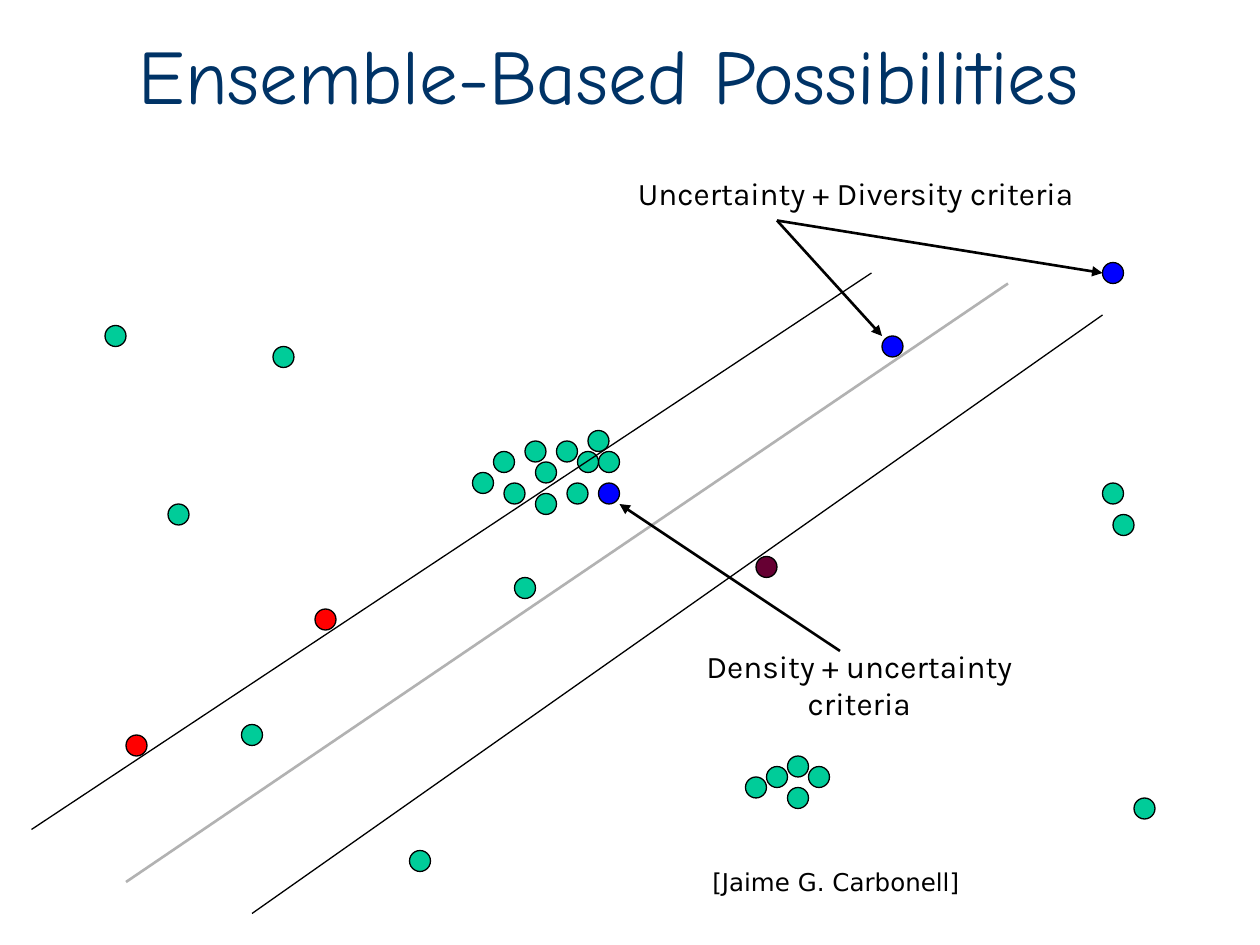
"""Builds the slide on ensemble-based active learning criteria."""
from lxml.etree import SubElement
from pptx import Presentation
from pptx.dml.color import RGBColor
from pptx.enum.shapes import MSO_CONNECTOR as Connector, MSO_SHAPE as Shape
from pptx.enum.text import MSO_ANCHOR as Anchor, PP_ALIGN as Align
from pptx.oxml.ns import qn
from pptx.util import Pt

BLACK = RGBColor(0x00, 0x00, 0x00)
NAVY = RGBColor(0x00, 0x33, 0x66)
GREEN = RGBColor(0x00, 0xCC, 0x99)
RED = RGBColor(0xFF, 0x00, 0x00)
BLUE = RGBColor(0x00, 0x00, 0xFF)
MAROON = RGBColor(0x66, 0x00, 0x33)
GREY = RGBColor(0xB2, 0xB2, 0xB2)

GRID = 6
DOT = 12

SAMPLES = {
    RED: [(30, 58), (12, 70)],
    GREEN: [
        (105, 46), (106, 49), (26, 33), (10, 31), (16, 48), (39, 81),
        (51, 47), (77, 73), (71, 74), (73, 73), (75, 72), (108, 76),
        (75, 75), (23, 69), (49, 55), (56, 41), (48, 46), (45, 45),
        (51, 44), (47, 43), (54, 46), (57, 43), (53, 42), (50, 42), (55, 43),
    ],
    BLUE: [(57, 46), (105, 25), (84, 32)],
    MAROON: [(72, 53)],
}
MARGINS = [((3, 79), (83, 26)), ((24, 87), (105, 30))]
BOUNDARY = ((12, 84), (96, 27))
POINTERS = [((74, 21), (84, 32)), ((80, 62), (59, 48)), ((74, 21), (105, 26))]


class Sketch:
    """Draws dots, lines and labels on one slide in a shared style."""

    def __init__(self, slide, font="Karla", size=18):
        self.shapes = slide.shapes
        self.font = font
        self.size = size

    def dot(self, column, row, color):
        sample = self.shapes.add_shape(
            Shape.OVAL, Pt(column * GRID), Pt(row * GRID), Pt(DOT), Pt(DOT))
        sample.shadow.inherit = False
        sample.fill.solid()
        sample.fill.fore_color.rgb = color
        sample.line.color.rgb = BLACK
        sample.line.width = Pt(0.75)

    def line(self, start, end, color=BLACK, width=0.75, arrow=False):
        ends = [Pt(value * GRID) for value in (*start, *end)]
        stroke = self.shapes.add_connector(Connector.STRAIGHT, *ends)
        stroke.line.color.rgb = color
        stroke.line.width = Pt(width)
        if arrow:
            SubElement(stroke.line._get_or_add_ln(), qn("a:tailEnd"), type="triangle")
        SubElement(stroke._element.spPr, qn("a:effectLst"))

    def label(self, text, box, font=None, size=None, color=BLACK,
              align=Align.CENTER, anchor=Anchor.TOP):
        frame = self.shapes.add_textbox(*[Pt(value) for value in box]).text_frame
        frame.word_wrap = True
        frame.vertical_anchor = anchor
        paragraph = frame.paragraphs[0]
        paragraph.text = text
        paragraph.alignment = align
        paragraph.font.name = font or self.font
        paragraph.font.size = Pt(size or self.size)
        paragraph.font.color.rgb = color


def main():
    deck = Presentation()
    deck.slide_width, deck.slide_height = Pt(720), Pt(540)
    sketch = Sketch(deck.slides.add_slide(deck.slide_layouts[6]))

    sketch.label("Ensemble-Based Possibilities", (24, 12, 648, 60),
                 font="Comic Neue", size=44, color=NAVY, anchor=Anchor.MIDDLE)
    for color, places in SAMPLES.items():
        for column, row in places:
            sketch.dot(column, row, color)
    for margin in MARGINS:
        sketch.line(*margin)
    sketch.line(*BOUNDARY, color=GREY, width=1.5)
    for pointer in POINTERS:
        sketch.line(*pointer, width=1.5, arrow=True)
    sketch.label("Uncertainty + Diversity criteria", (330, 96, 318, 29))
    sketch.label("Density + uncertainty criteria", (392, 366, 198, 50))
    sketch.label("[Jaime G. Carbonell]", (400, 492, 228, 36),
                 font="DejaVu Sans", size=14, align=Align.LEFT)
    deck.save("out.pptx")


if __name__ == "__main__":
    main()
